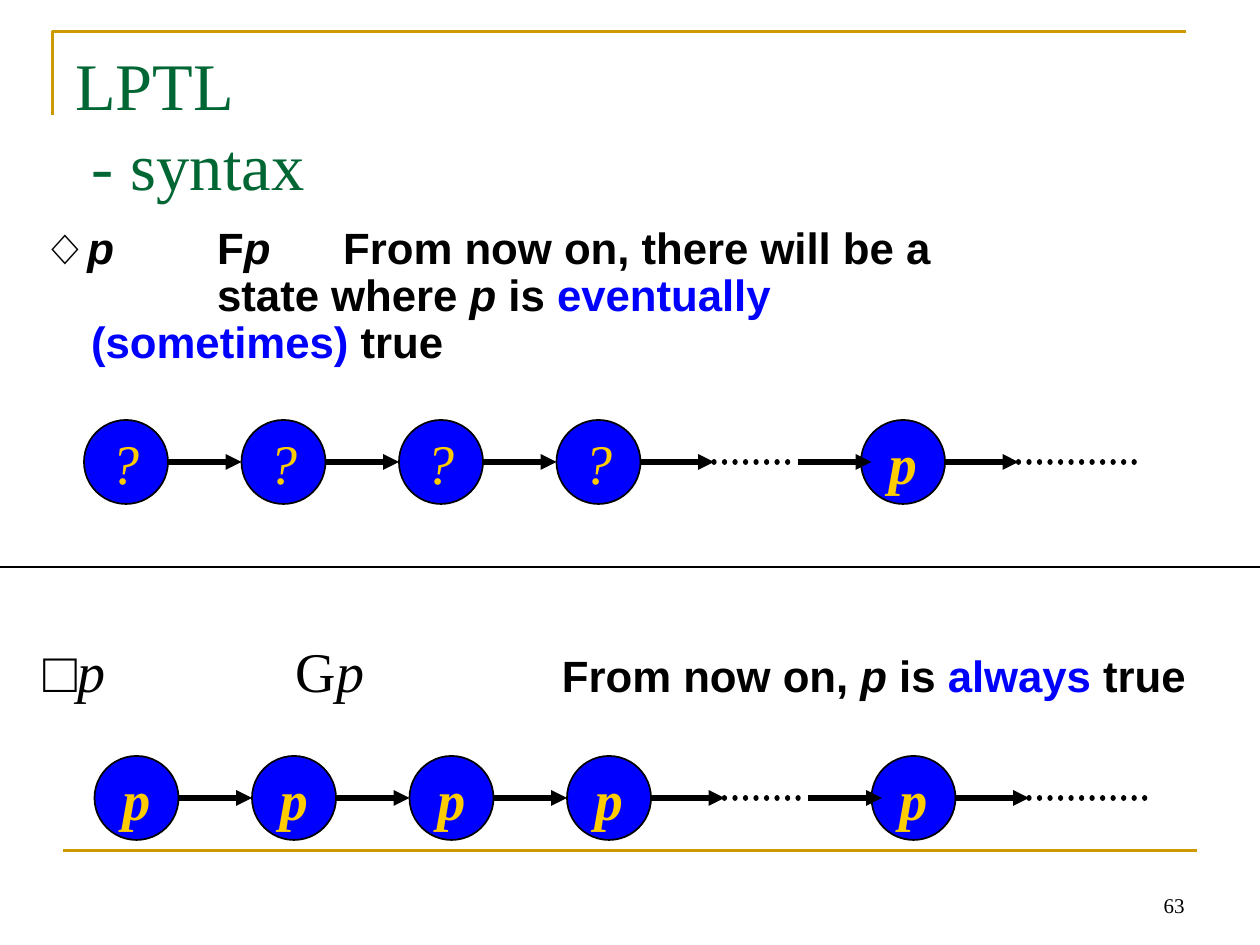
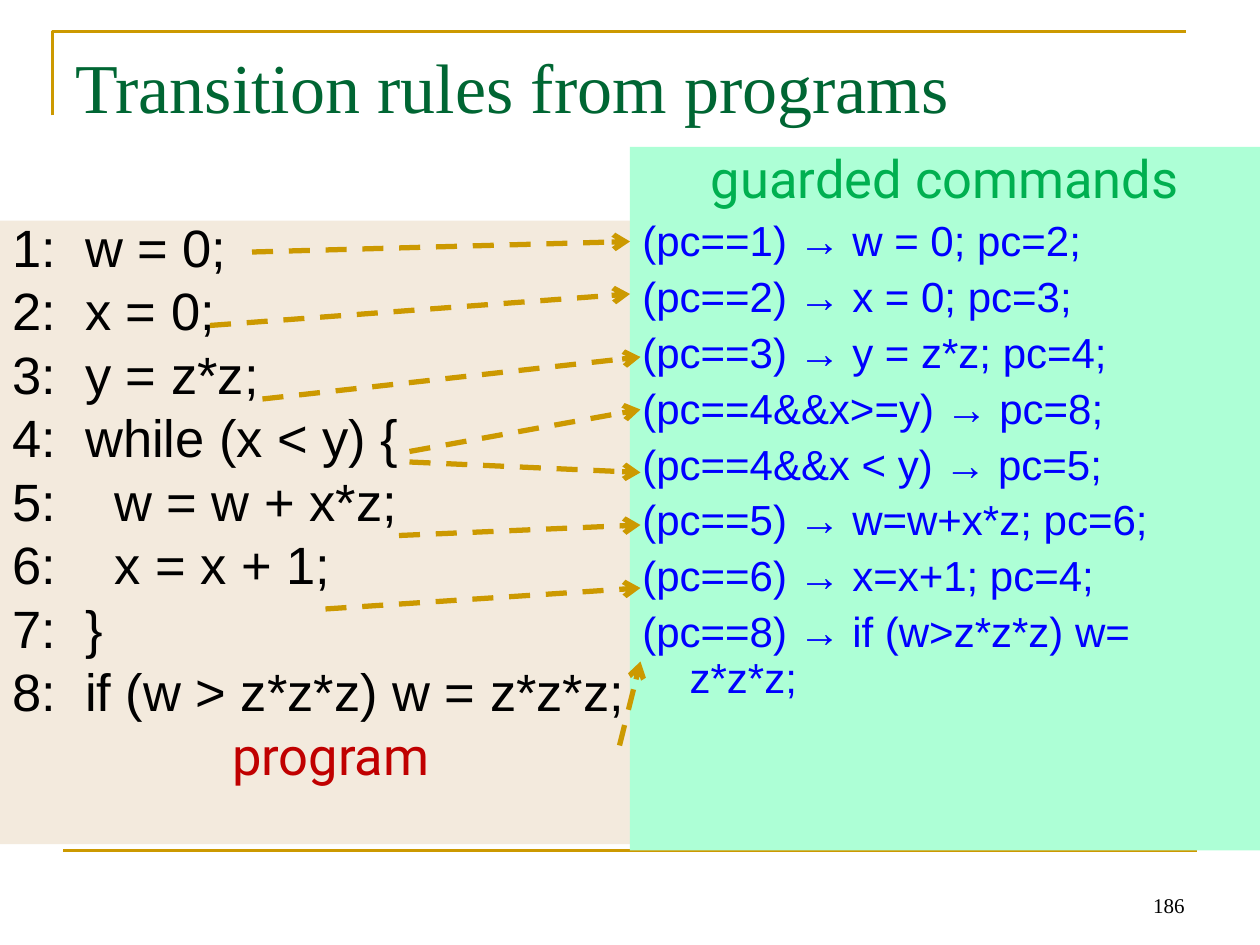
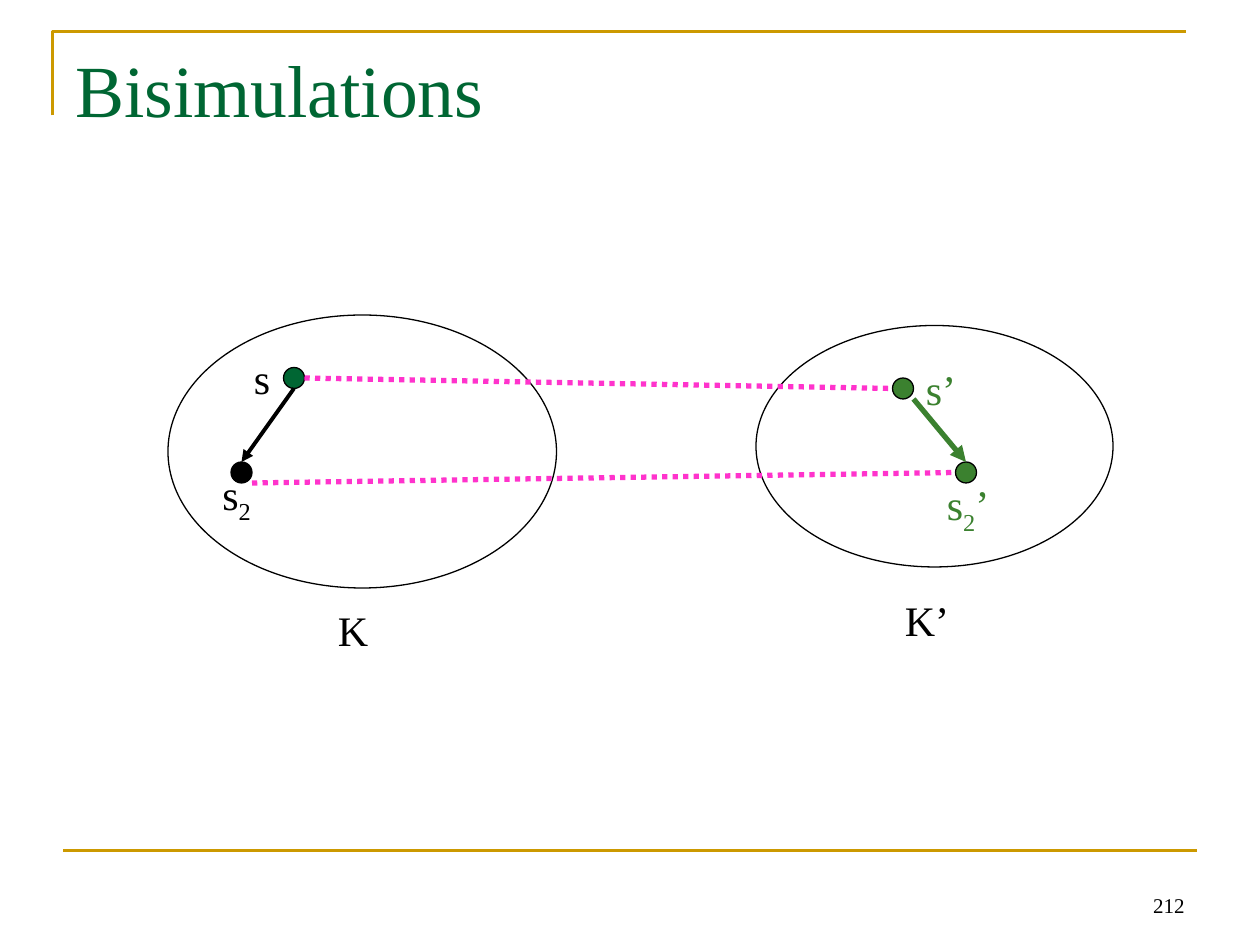
import pptx
import pptx.dml.color
import pptx.enum.dml
import pptx.enum.shapes
import pptx.enum.text
import pptx.oxml.ns
import pptx.util
import lxml.etree

# Colours
RGB = pptx.dml.color.RGBColor
GOLD = RGB(0xCC, 0x99, 0x00)
PINE = RGB(0x00, 0x66, 0x33)
LEAF = RGB(0x3B, 0x81, 0x2F)
BLACK = RGB(0x00, 0x00, 0x00)
WHITE = RGB(0xFF, 0xFF, 0xFF)
BLUE = RGB(0x00, 0x00, 0xFF)
YELLOW = RGB(0xFF, 0xCC, 0x00)
PINK = RGB(0xFF, 0x33, 0xCC)
SAND = RGB(0xF3, 0xEA, 0xDD)
MINT = RGB(0xAD, 0xFF, 0xD6)
RED = RGB(0xC0, 0x00, 0x00)
GREEN = RGB(0x00, 0xB0, 0x50)

# Formats
SERIF = {"name": "Times New Roman", "size": 24, "color": BLACK}
SANS = {"name": "Arial", "size": 25, "color": BLACK, "bold": True}
SLANT = {**SANS, "italic": True}
VIVID = {**SANS, "color": BLUE}
STATE = {**SERIF, "size": 32, "color": YELLOW, "italic": True}
CODE = {"name": "Arial", "size": 30, "color": BLACK}
RULE = {"name": "Arial", "size": 24, "color": BLUE}
HEAD = {"name": "Roboto", "size": 30}

ALIGN = pptx.enum.text.PP_ALIGN
ANCHOR = pptx.enum.text.MSO_ANCHOR
DASH = pptx.enum.dml.MSO_LINE
SHAPE = pptx.enum.shapes.MSO_SHAPE
HANG = 4.5


def grid(cells):
    """Length of so many grid cells, twelve to 2.54 cm."""
    return pptx.util.Cm(cells * 2.54 / 12)


def add(parent, tag, **attrs):
    node = lxml.etree.SubElement(parent, pptx.oxml.ns.qn(tag))
    for key, value in attrs.items():
        node.set(key, str(value))
    return node


class Deck:
    def __init__(self):
        self.show = pptx.Presentation()
        self.show.slide_width, self.show.slide_height = grid(120), grid(90)
        self.slide = None

    def page(self, title, size, number):
        """Start a slide with its frame, title and number."""
        self.slide = self.show.slides.add_slide(self.show.slide_layouts[6])
        pen = self.slide.shapes.build_freeform(grid(5), grid(11))
        pen.add_line_segments([(grid(5), grid(3)), (grid(113), grid(3))], close=False)
        frame = pen.convert_to_shape()
        frame.shadow.inherit = False
        frame.fill.background()
        self.stroke(frame.line, GOLD, 1.5)
        self.line((6, 81), (114, 81), GOLD, 1.5)
        self.text((6, 3.6, 108, 15), [(title, {**SERIF, "size": size, "color": PINE})])
        self.text((86, 82, 28, 6), [(str(number), {**SERIF, "size": 12})],
                  anchor=ANCHOR.BOTTOM, align=ALIGN.RIGHT)

    def stroke(self, line, color, width):
        line.color.rgb = color
        line.width = pptx.util.Pt(width)

    def line(self, start, end, color, width, dash=None, tip=None, cap=None):
        link = self.slide.shapes.add_connector(
            pptx.enum.shapes.MSO_CONNECTOR.STRAIGHT, *map(grid, start + end))
        self.stroke(link.line, color, width)
        if dash:
            link.line.dash_style = dash
        props = link._element.spPr.find(pptx.oxml.ns.qn("a:ln"))
        if cap:
            props.set("cap", cap)
        if tip:
            add(props, "a:tailEnd", type=tip)
        add(link._element.spPr, "a:effectLst")

    def shape(self, kind, box, fill, width=None):
        shape = self.slide.shapes.add_shape(kind, *map(grid, box))
        shape.shadow.inherit = False
        shape.fill.solid()
        shape.fill.fore_color.rgb = fill
        if width:
            self.stroke(shape.line, BLACK, width)
        else:
            shape.line.fill.background()
        return shape

    def text(self, box, *paras, **form):
        label = self.slide.shapes.add_textbox(*map(grid, box))
        self.letter(label, *paras, **form)

    def letter(self, shape, *paras, anchor=ANCHOR.TOP, wrap=True, **form):
        """Fill a shape; each paragraph is a list of (text, format) runs."""
        frame = shape.text_frame
        frame.word_wrap = wrap
        frame.vertical_anchor = anchor
        for i, runs in enumerate(paras):
            para = frame.paragraphs[0] if i == 0 else frame.add_paragraph()
            self.para(para, runs, first=i == 0, **form)

    def para(self, para, runs, first, align=ALIGN.LEFT, hang=0, space=1, gap=0, tabs=0):
        para.alignment = runs[0][1].get("align", align)
        para.line_spacing = space
        para.space_before = pptx.util.Pt(0 if first else gap)
        props = para._p.get_or_add_pPr()
        if hang:
            props.set("marL", str(grid(hang)))
            props.set("indent", str(-grid(hang)))
        if tabs:
            stops = add(props, "a:tabLst")
            for n in range(1, tabs + 1):
                add(stops, "a:tab", pos=grid(12 * n), algn="l")
        for words, form in runs:
            for i, part in enumerate(words.split("\n")):
                if i:
                    para.add_line_break()
                if part:
                    self.run(para, part, form)

    def run(self, para, words, form):
        run = para.add_run()
        run.text = words
        for key, value in form.items():
            if key == "size":
                run.font.size = pptx.util.Pt(value)
            elif key == "color":
                run.font.color.rgb = value
            elif key == "base":
                run.font._element.set("baseline", str(value * 1000))
            elif key in ("name", "bold", "italic"):
                setattr(run.font, key, value)

    def chain(self, left, top, marks):
        """Row of states joined by arrows, with dots for those left out."""
        for x, mark in zip((0, 15, 30, 45, 74), marks):
            disc = self.shape(SHAPE.OVAL, (left + x, top, 8, 8), BLUE, 1)
            self.letter(disc, [(mark, {**STATE, "bold": mark == "p"})],
                        anchor=ANCHOR.MIDDLE, align=ALIGN.CENTER, wrap=False)
        mid = top + 4
        for x in (8, 23, 38, 53, 68, 82):
            self.line((left + x, mid), (left + x + 7, mid), BLACK, 3, tip="triangle")
        for x, end in ((60, 68), (89, 101)):
            self.line((left + x, mid), (left + end, mid), BLACK, 3, DASH.ROUND_DOT, cap="rnd")


def syntax(deck):
    deck.page("LPTL\n - syntax", 38, 63)
    deck.text((3, 21, 117, 16), [
        ("◇", SANS), ("p\t\t", SLANT), ("F", SANS), ("p\t\t", SLANT),
        ("From now on, there will be a\n\t\tstate where", SANS), (" p ", SLANT),
        ("is ", SANS), ("eventually\n(sometimes)", VIVID), (" true", SANS),
    ], hang=HANG, space=0.9, tabs=7)
    deck.chain(8, 40, "????p")
    # Always operator
    large = {**SERIF, "size": 32}
    tilt = {**large, "italic": True}
    deck.text((3, 60, 117, 15), [
        ("□", {**large, "name": "Arial"}), ("p\t\t", tilt), ("G", large),
        ("p\t\t ", tilt), ("From now on, ", SANS), ("p", SLANT), (" is ", SANS),
        ("always", VIVID), (" true", SANS),
    ], tabs=7)
    deck.chain(9, 72, "ppppp")
    deck.line((0, 54), (120, 54), BLACK, 1)


def rules(deck):
    deck.page("Transition rules from programs", 40, 186)
    # Program
    code = ["1:  w = 0;", "2:  x = 0;", "3:  y = z*z;", "4:  while (x < y) {",
            "5:    w = w + x*z;", "6:    x = x + 1;", "7:  }",
            "8:  if (w > z*z*z) w = z*z*z;"]
    foot = {**HEAD, "color": RED, "align": ALIGN.CENTER}
    panel = deck.shape(SHAPE.RECTANGLE, (0, 21, 63, 59.4), SAND)
    deck.letter(panel, *([(row, CODE)] for row in code), [("program", foot)],
                hang=HANG, space=0.8, gap=7.5)
    # Guarded commands
    guards = ["(pc==1) → w = 0; pc=2;", "(pc==2) → x = 0; pc=3;",
              "(pc==3) → y = z*z; pc=4;", "(pc==4&&x>=y) → pc=8;",
              "(pc==4&&x < y) → pc=5;", "(pc==5) → w=w+x*z; pc=6;",
              "(pc==6) → x=x+1; pc=4;", "(pc==8) → if (w>z*z*z) w= z*z*z;"]
    top = {**HEAD, "color": GREEN, "align": ALIGN.CENTER}
    panel = deck.shape(SHAPE.RECTANGLE, (60, 14, 60, 67), MINT)
    deck.letter(panel, [("guarded commands", top)], *([(row, RULE)] for row in guards),
                hang=HANG, space=0.9, gap=6)
    # Links from code to commands
    links = [((24, 24), (60, 23)), ((20, 31), (60, 28)), ((25, 38), (61, 34)),
             ((39, 44), (61, 45)), ((39, 43), (61, 39)), ((38, 51), (61, 50)),
             ((31, 58), (61, 56)), ((59, 71), (61, 63))]
    for start, end in links:
        deck.line(start, end, GOLD, 3, DASH.DASH, "arrow")


def pairs(deck):
    deck.page("Bisimulations", 42, 212)
    # Structures and states
    for box in ((16, 30, 37, 26), (72, 31, 34, 23)):
        deck.shape(SHAPE.OVAL, box, WHITE, 0.75)
    for x, y, fill in ((27, 35, PINE), (85, 36, LEAF), (22, 44, BLACK), (91, 44, LEAF)):
        deck.shape(SHAPE.OVAL, (x, y, 2, 2), fill, 0.75)
    # Related states and steps
    for start, end in (((29, 36), (85, 37)), ((24, 46), (91, 45))):
        deck.line(start, end, PINK, 3, DASH.ROUND_DOT)
    deck.line((28, 37), (23, 44), BLACK, 2.25, tip="triangle")
    deck.line((87, 38), (92, 44), LEAF, 3, tip="triangle")
    # Labels
    leaf = {**SERIF, "color": LEAF}
    deck.text((31, 57, 25, 6), [("K", SERIF)])
    deck.text((85, 56, 30, 6), [("K’", SERIF)])
    deck.text((23, 33, 15, 6), [("s", SERIF)])
    deck.text((87, 34, 11, 6), [("s’", leaf)])
    deck.text((20, 44, 13, 6.7), [("s", SERIF), ("2", {**SERIF, "base": -25})])
    deck.text((89, 45, 15, 6.7), [("s", leaf), ("2", {**leaf, "base": -25}), ("’", leaf)])


def main():
    deck = Deck()
    for build in (syntax, rules, pairs):
        build(deck)
    deck.show.save("out.pptx")


if __name__ == "__main__":
    main()
